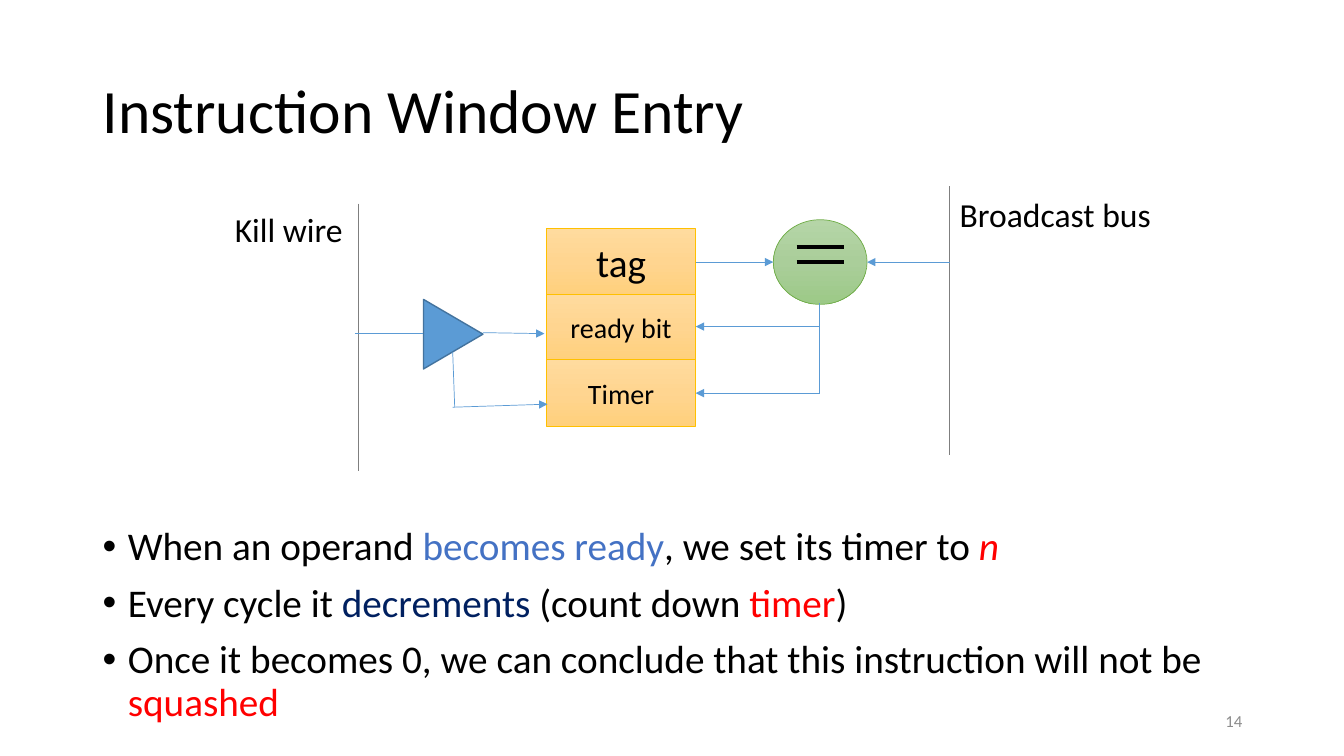
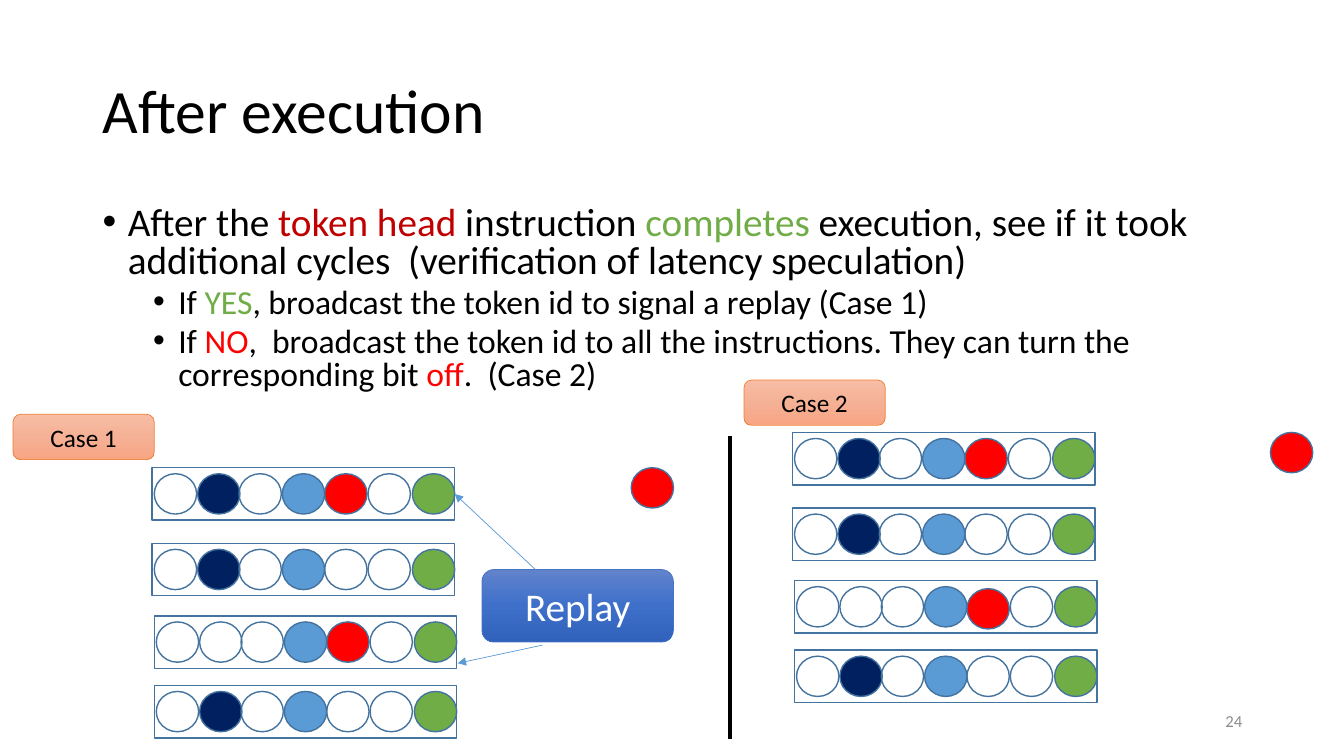
from copy import deepcopy
from dataclasses import dataclass

from lxml.etree import SubElement
from pptx import Presentation
from pptx.dml.color import RGBColor
from pptx.enum.shapes import MSO_CONNECTOR, MSO_SHAPE
from pptx.enum.text import MSO_ANCHOR, PP_ALIGN
from pptx.oxml.ns import qn
from pptx.util import Pt

EMU_PER_PX = 9144


@dataclass(frozen=True)
class Theme:
    """Colours, gradients and type sizes of the deck."""
    font: str = "Calibri"
    black: str = "000000"
    white: str = "FFFFFF"
    grey: str = "8C8C8C"
    rail: str = "7F7F7F"
    red: str = "FF0000"
    crimson: str = "C00000"
    navy: str = "002060"
    royal: str = "4472C4"
    sky: str = "5B9BD5"
    outline: str = "43739E"
    green: str = "70AD47"
    gold: str = "FFC000"
    orange: str = "ED7D31"
    gold_fade: tuple = ("FFDB9E", "FFD590", "FFD07C")
    green_fade: tuple = ("B5D5A7", "AACE9A", "9CC987")
    orange_fade: tuple = ("F7BDA5", "F5B196", "F8A582")
    royal_fade: tuple = ("6183CB", "3E70CA", "3062BB")
    title: int = 44
    body: int = 28
    detail: int = 24
    field: int = 20
    tag: int = 18
    number: int = 12
    hairline: float = 0.5
    thin: float = 1
    thick: float = 3


THEME = Theme()
TOKEN_COLORS = {"N": THEME.navy, "B": THEME.sky, "R": THEME.red, "G": THEME.green}
TOKEN_LEFTS = (2, 45, 86, 129, 171, 214, 258)
TOKEN_SIZE = (42, 40)
TOKEN_ROWS = ((0, 0, "_N_BR_G"), (0, 75, "_N_B__G"), (2, 147, "___BR_G"), (2, 216, "_N_B__G"))


def px(length):
    """Turn whole px into EMU."""
    return length * EMU_PER_PX


def write(paragraph, text, size=THEME.body, color=THEME.black, italic=False):
    """Add one formatted run to a paragraph."""
    run = paragraph.add_run()
    run.text = text
    run.font.name = THEME.font
    run.font.size = Pt(size)
    run.font.color.rgb = RGBColor.from_string(color)
    run.font.italic = italic


class Deck:
    """Holds the presentation, its style and the current slide."""

    def __init__(self, theme):
        """Start an empty widescreen presentation."""
        self.theme = theme
        self.presentation = Presentation()
        self.presentation.slide_width = px(1333)
        self.presentation.slide_height = px(750)
        self.slide = None

    def start(self, title, number):
        """Begin a slide with its title and slide number."""
        self.slide = self.presentation.slides.add_slide(self.presentation.slide_layouts[6])
        heading = self.label((92, 40, 1150, 145), title, anchor=MSO_ANCHOR.MIDDLE, size=self.theme.title)
        heading.line_spacing = 0.9
        folio = self.label((942, 695, 300, 40), number, anchor=MSO_ANCHOR.MIDDLE,
                           size=self.theme.number, color=self.theme.grey)
        folio.alignment = PP_ALIGN.RIGHT

    def frame(self, box, wrap=True, anchor=MSO_ANCHOR.TOP):
        """Add an empty text box and return its text frame."""
        frame = self.slide.shapes.add_textbox(*map(px, box)).text_frame
        frame.word_wrap = wrap
        frame.vertical_anchor = anchor
        return frame

    def label(self, box, text, wrap=True, anchor=MSO_ANCHOR.TOP, **style):
        """Add a single line of text and return its paragraph."""
        paragraph = self.frame(box, wrap, anchor).paragraphs[0]
        write(paragraph, text, **style)
        return paragraph

    def bullets(self, box, items, spacing):
        """Add a bulleted list of (level, spans) items."""
        frame = self.frame(box)
        for index, (level, spans) in enumerate(items):
            paragraph = frame.add_paragraph() if index else frame.paragraphs[0]
            paragraph.level = level
            properties = paragraph._p.get_or_add_pPr()
            properties.set("marL", str(px(25 + 50 * level)))
            properties.set("indent", str(px(-25)))
            SubElement(properties, qn("a:buFont"), typeface="Arial")
            SubElement(properties, qn("a:buChar"), char="•")
            paragraph.line_spacing = spacing
            paragraph.space_before = Pt((5 if level else 10) if index else 0)
            size = self.theme.detail if level else self.theme.body
            for text, *style in spans:
                write(paragraph, text, size, *style)

    def shape(self, kind, box, fill=None, line=THEME.outline, weight=THEME.thin, text="", **style):
        """Add a preset shape with no, plain or graded fill."""
        shape = self.slide.shapes.add_shape(kind, *map(px, box))
        shape.shadow.inherit = False
        shape.line.color.rgb = RGBColor.from_string(line)
        shape.line.width = Pt(weight)
        if fill is None:
            shape.fill.background()
        elif isinstance(fill, tuple):
            self.fade(shape, fill)
        else:
            shape.fill.solid()
            shape.fill.fore_color.rgb = RGBColor.from_string(fill)
        if text:
            shape.text_frame.vertical_anchor = MSO_ANCHOR.MIDDLE
            shape.text_frame.word_wrap = True
            paragraph = shape.text_frame.paragraphs[0]
            paragraph.alignment = PP_ALIGN.CENTER
            write(paragraph, text, **style)
        return shape

    def fade(self, shape, colors):
        """Fill a shape with evenly spaced colours from top to bottom."""
        shape.fill.gradient()
        shape.fill.gradient_angle = 270
        stops = shape._element.xpath("./p:spPr/a:gradFill/a:gsLst")[0]
        while len(stops) < len(colors):
            stops.append(deepcopy(stops[-1]))
        for index, (stop, color) in enumerate(zip(shape.fill.gradient_stops, colors)):
            stop.position = index / (len(colors) - 1)
            stop.color.rgb = RGBColor.from_string(color)

    def line(self, start, end, color=THEME.sky, weight=THEME.hairline, arrow=False):
        """Draw a straight line, with an arrowhead at its end if asked."""
        connector = self.slide.shapes.add_connector(MSO_CONNECTOR.STRAIGHT, *map(px, (*start, *end)))
        connector.line.color.rgb = RGBColor.from_string(color)
        connector.line.width = Pt(weight)
        if arrow:
            SubElement(connector.line._get_or_add_ln(), qn("a:tailEnd"), type="triangle")
        SubElement(connector._element.spPr, qn("a:effectLst"))

    def token(self, left, top, color=None):
        """Draw one token circle."""
        self.shape(MSO_SHAPE.OVAL, (left, top, *TOKEN_SIZE), color)

    def case(self, left, top, name, name_at, third_drop=0):
        """Draw a named case with its four token rows."""
        for shift, drop, pattern in TOKEN_ROWS:
            row_left, row_top = left + shift, top + drop
            self.shape(MSO_SHAPE.RECTANGLE, (row_left, row_top, 300, 52))
            for token_left, code in zip(TOKEN_LEFTS, pattern):
                sag = third_drop if code == "R" and drop else 0
                self.token(row_left + token_left, row_top + 6 + sag, TOKEN_COLORS.get(code))
        self.shape(MSO_SHAPE.ROUNDED_RECTANGLE, (*name_at, 140, 45), self.theme.orange_fade,
                   self.theme.orange, self.theme.hairline, name, size=self.theme.tag)


def window_entry(deck):
    """Build the instruction window entry slide."""
    theme = deck.theme
    deck.start("Instruction Window Entry", "14")
    deck.bullets((92, 518, 1150, 212), [
        (0, [("When an operand ",), ("becomes ready", theme.royal),
             (", we set its timer to ",), ("n", theme.red, True)]),
        (0, [("Every cycle it ",), ("decrements", theme.navy),
             (" (count down ",), ("timer", theme.red), (")",)]),
        (0, [("Once it becomes 0, we can conclude that this instruction will not be ",),
             ("squashed", theme.red)]),
    ], spacing=0.9)

    fields = (("tag", theme.body), ("ready bit", theme.field), ("Timer", theme.field))
    for index, (field, size) in enumerate(fields):
        deck.shape(MSO_SHAPE.RECTANGLE, (542, 227 + 65 * index, 148, 66), theme.gold_fade,
                   theme.gold, theme.hairline, field, size=size)

    deck.shape(MSO_SHAPE.OVAL, (767, 218, 93, 84), theme.green_fade, theme.green, theme.hairline)
    for equals_bar in (245, 260):
        deck.line((790, equals_bar), (837, equals_bar), theme.black, theme.thick)

    for wire_x, wire_top, wire_end in ((942, 185, 451), (355, 202, 467)):
        deck.line((wire_x, wire_top), (wire_x, wire_end), theme.rail)
    deck.label((942, 187, 211, 50), "Broadcast bus", wrap=False, size=theme.detail)
    deck.label((223, 202, 128, 50), "Kill wire", wrap=False, size=theme.detail)

    kill_gate = deck.shape(MSO_SHAPE.ISOSCELES_TRIANGLE, (415, 302, 69, 59), theme.sky)
    kill_gate.rotation = 90
    for start, end in (((813, 301), (813, 390)), ((352, 331), (420, 331)), ((449, 349), (451, 404))):
        deck.line(start, end)
    for start, end in (((690, 260), (767, 260)), ((942, 260), (860, 260)),
                       ((813, 324), (690, 324)), ((813, 390), (690, 390)),
                       ((479, 330), (540, 331)), ((449, 404), (543, 401))):
        deck.line(start, end, arrow=True)


def after_execution(deck):
    """Build the slide on replay and release after execution."""
    theme = deck.theme
    deck.start("After execution", "24")
    deck.bullets((92, 200, 1150, 211), [
        (0, [("After the ",), ("token head ", theme.crimson), ("instruction ",),
             ("completes", theme.green),
             (" execution, see if it took additional cycles  (verification of latency speculation)",)]),
        (1, [("If ",), ("YES", theme.green),
             (", broadcast the token id to signal a replay (Case 1)",)]),
        (1, [("If ",), ("NO", theme.red),
             (",  broadcast the token id to all the instructions. They can turn the corresponding bit ",),
             ("off", theme.red), (".  (Case 2)",)]),
    ], spacing=0.8)

    deck.case(151, 464, "Case 1", (13, 411))
    deck.case(786, 429, "Case 2", (738, 377), third_drop=2)
    for broadcast_at in ((626, 464), (1260, 429)):
        deck.token(*broadcast_at, theme.red)
    deck.line((724, 433), (724, 733), theme.black, theme.thick)

    deck.shape(MSO_SHAPE.ROUNDED_RECTANGLE, (478, 565, 190, 72), theme.royal_fade, theme.royal,
               theme.hairline, "Replay", color=theme.white)
    for start, end in (((531, 565), (451, 490)), ((538, 640), (454, 658))):
        deck.line(start, end, arrow=True)


def main():
    """Build and save the deck."""
    deck = Deck(THEME)
    window_entry(deck)
    after_execution(deck)
    deck.presentation.save("out.pptx")


if __name__ == "__main__":
    main()
